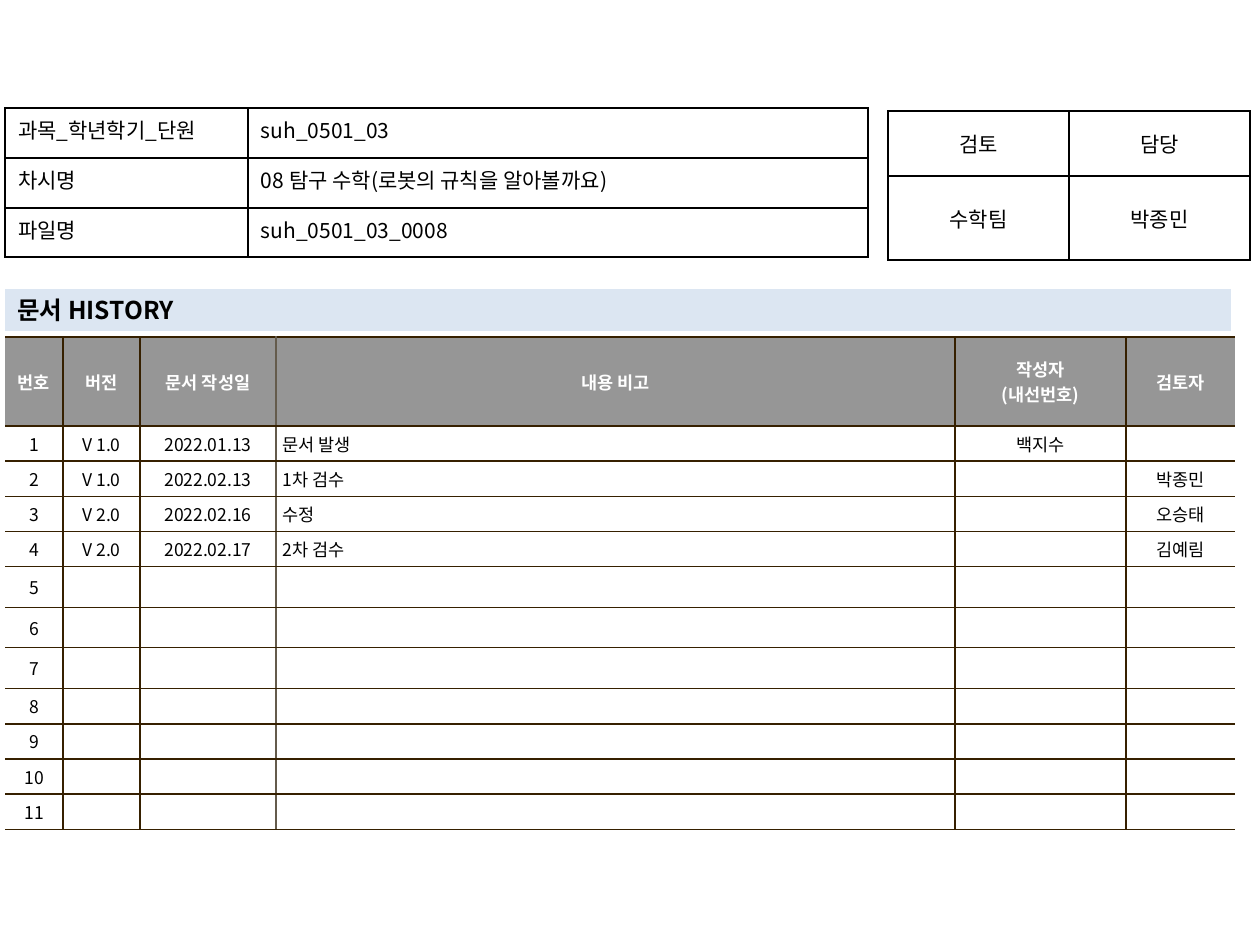
from lxml.etree import SubElement
from pptx import Presentation
from pptx.dml.color import RGBColor
from pptx.enum.shapes import MSO_SHAPE
from pptx.enum.text import MSO_ANCHOR, PP_ALIGN
from pptx.oxml.ns import qn
from pptx.util import Emu, Pt

FONT = "Noto Sans CJK KR"
BLACK, WHITE, GREY, BROWN, TAUPE, PALE_BLUE = (
    "000000", "FFFFFF", "969696", "362000", "645B4C", "DCE6F2")
HISTORY_HEAD = ["번호", "버전", "문서 작성일", "내용 비고", "작성자\n(내선번호)", "검토자"]
HISTORY = [
    ["V 1.0", "2022.01.13", "문서 발생", "백지수", ""],
    ["V 1.0", "2022.02.13", "1차 검수", "", "박종민"],
    ["V 2.0", "2022.02.16", "수정", "", "오승태"],
    ["V 2.0", "2022.02.17", "2차 검수", "", "김예림"],
]
HISTORY_COUNT = 11
INFO = [
    ["과목_학년학기_단원", "suh_0501_03"],
    ["차시명", "08 탐구 수학(로봇의 규칙을 알아볼까요)"],
    ["파일명", "suh_0501_03_0008"],
]
APPROVAL = [["검토", "담당"], ["수학팀", "박종민"]]


def px(length):
    return Emu(round(length * 914400 / 126))


def rgb(color):
    return RGBColor.from_string(color)


def write(frame, text, size, color=BLACK, bold=False, align=PP_ALIGN.LEFT, hang=0):
    """Fill a text frame, one paragraph for each line of text."""
    for i, line in enumerate(text.split("\n")):
        paragraph = frame.add_paragraph() if i else frame.paragraphs[0]
        paragraph.alignment = align
        if hang:
            properties = paragraph._p.get_or_add_pPr()
            properties.set("marL", str(px(hang)))
            properties.set("indent", str(-px(hang)))
        if not line:
            SubElement(paragraph._p, qn("a:endParaRPr"), sz=str(size * 100))
            continue
        run = paragraph.add_run()
        run.text = line
        for name, value in {"name": FONT, "size": Pt(size), "bold": bold}.items():
            setattr(run.font, name, value)
        run.font.color.rgb = rgb(color)
        SubElement(run._r.get_or_add_rPr(), qn("a:ea"), typeface=FONT)


def set_borders(cell, left, right, top, bottom):
    """Draw 1 pt cell edges; None leaves an edge open."""
    properties = cell._tc.get_or_add_tcPr()
    for side, color in zip("LRTB", (left, right, top, bottom)):
        edge = SubElement(properties, qn(f"a:ln{side}"), w=str(Pt(1)))
        if color:
            fill = SubElement(edge, qn("a:solidFill"))
            SubElement(fill, qn("a:srgbClr"), val=color)
        else:
            SubElement(edge, qn("a:noFill"))


def set_cell(cell, inset_x, inset_y, anchor, fill=None):
    layout = {"margin_left": px(inset_x), "margin_right": px(inset_x),
              "margin_top": px(inset_y), "margin_bottom": px(inset_y),
              "vertical_anchor": anchor}
    for name, value in layout.items():
        setattr(cell, name, value)
    if fill:
        cell.fill.solid()
        cell.fill.fore_color.rgb = rgb(fill)
    else:
        cell.fill.background()


def add_grid(slide, left, top, widths, heights):
    """Add an unbanded table with the given column widths and row heights."""
    grid = slide.shapes.add_table(
        len(heights), len(widths), px(left), px(top),
        px(sum(widths)), px(sum(heights))).table
    grid.first_row = grid.horz_banding = False
    for column, width in zip(grid.columns, widths):
        column.width = px(width)
    for row, height in zip(grid.rows, heights):
        row.height = px(height)
    return grid


def add_history(slide, left, top):
    widths = [58, 77, 136, 679, 171, 109]
    heights = [89] + [35] * 4 + [41, 40, 41] + [35] * 4
    edges = [None, BROWN, BROWN, TAUPE, BROWN, BROWN, None]
    hangs = {3: 24, 5: 12}
    grid = add_grid(slide, left, top, widths, heights)
    blank = [""] * (len(widths) - 1)
    entries = HISTORY + [blank] * (HISTORY_COUNT - len(HISTORY))
    rows = [HISTORY_HEAD] + [[str(n), *entry] for n, entry in enumerate(entries, 1)]
    for r, row in enumerate(rows):
        head = r == 0
        for c, text in enumerate(row):
            cell = grid.cell(r, c)
            set_borders(cell, edges[c], edges[c + 1], BROWN, BROWN)
            set_cell(cell, 7, 5, MSO_ANCHOR.MIDDLE, GREY if head else WHITE)
            memo = c == 3 and not head
            write(cell.text_frame, text, 10, WHITE if head else BLACK, head,
                  PP_ALIGN.LEFT if memo else PP_ALIGN.CENTER,
                  hangs.get(c, 0) if text and not head else 0)


def add_form(slide, left, top, widths, heights, rows, anchor, aligns):
    """Add a black ruled form with one alignment for each column."""
    grid = add_grid(slide, left, top, widths, heights)
    for r, row in enumerate(rows):
        for c, text in enumerate(row):
            cell = grid.cell(r, c)
            set_borders(cell, BLACK, BLACK, BLACK, BLACK)
            set_cell(cell, 13, 6, anchor)
            write(cell.text_frame, text, 12, align=aligns[c])


def add_heading(slide, left, top, width, height):
    bar = slide.shapes.add_shape(
        MSO_SHAPE.RECTANGLE, px(left), px(top), px(width), px(height))
    bar.shadow.inherit = False
    bar.fill.solid()
    bar.fill.fore_color.rgb = rgb(PALE_BLUE)
    bar.line.fill.background()
    frame = bar.text_frame
    frame.word_wrap = True
    frame.vertical_anchor = MSO_ANCHOR.MIDDLE
    write(frame, "문서 HISTORY", 14, bold=True)


def main():
    deck = Presentation()
    deck.slide_width, deck.slide_height = px(1260), px(945)
    slide = deck.slides.add_slide(deck.slide_layouts[6])
    # Revision history
    add_history(slide, 5, 337)
    # Approval box
    add_form(slide, 888, 111, [181, 181], [65, 84], APPROVAL,
             MSO_ANCHOR.MIDDLE, [PP_ALIGN.CENTER] * 2)
    # Section heading
    add_heading(slide, 5, 289, 1226, 42)
    # Lesson information
    add_form(slide, 5, 108, [243, 620], [50, 50, 49], INFO,
             MSO_ANCHOR.TOP, [PP_ALIGN.JUSTIFY, PP_ALIGN.LEFT])
    deck.save("out.pptx")


if __name__ == "__main__":
    main()
